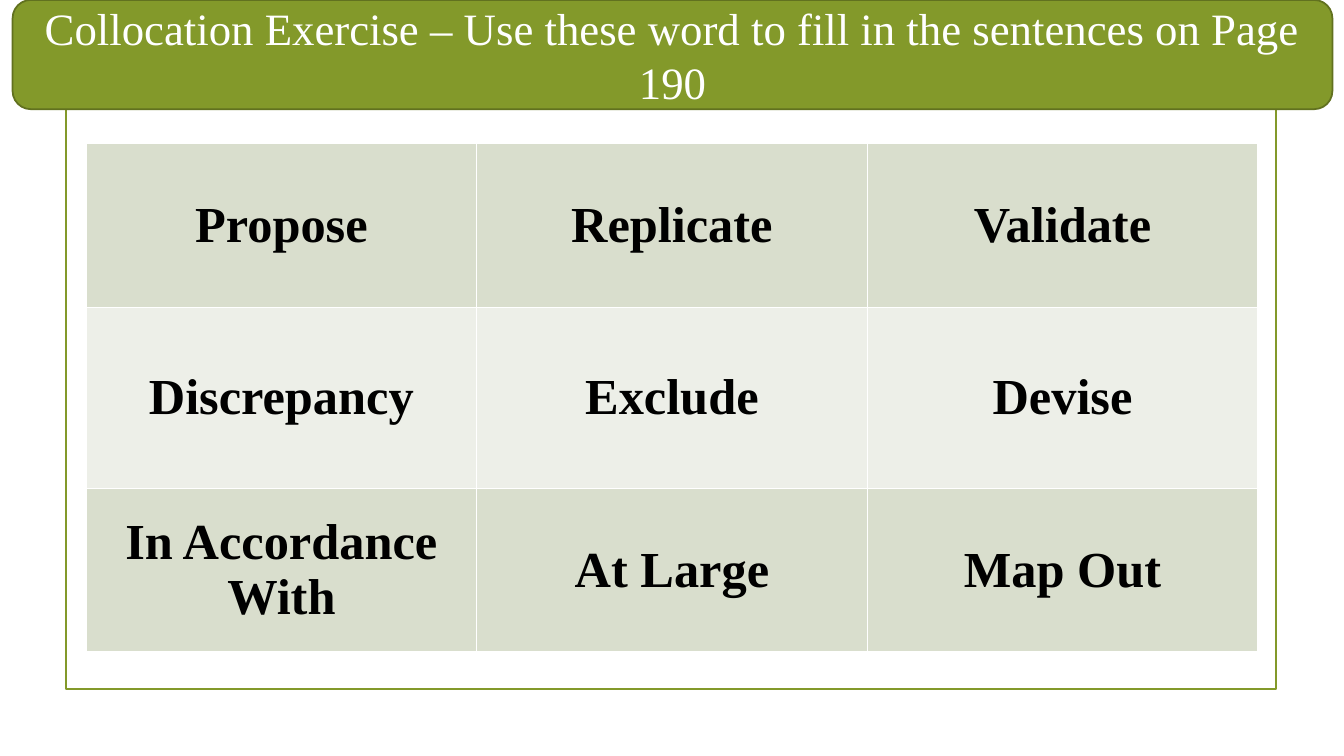
from dataclasses import dataclass

from pptx import Presentation
from pptx.dml.color import RGBColor
from pptx.enum.shapes import MSO_SHAPE as Shape
from pptx.enum.text import MSO_ANCHOR as Anchor, MSO_AUTO_SIZE as AutoSize, PP_ALIGN as Align
from pptx.oxml import parse_xml
from pptx.oxml.ns import nsdecls
from pptx.util import Pt

PX = 9525  # EMU per px, 96 px to the inch


@dataclass(frozen=True)
class Theme:
    font: str = "Times New Roman"
    green: str = "83992A"
    dark_green: str = "61711F"
    band_dark: str = "D9DECD"
    band_light: str = "EDEFE8"
    white: str = "FFFFFF"
    black: str = "000000"
    title_size: int = 32
    word_size: int = 36
    outline: float = 1.25
    cell_border: int = 1


THEME = Theme()
TITLE = "Collocation Exercise – Use these word to fill in the sentences on Page 190"
WORDS = [
    ["Propose", "Replicate", "Validate"],
    ["Discrepancy", "Exclude", "Devise"],
    ["In Accordance With", "At Large", "Map Out"],
]
BANNER_BOX = (12, 0, 1257, 104)
FRAME_BOX = (63, 64, 1152, 592)
TABLE_LEFT, TABLE_TOP = 82, 137
COL_WIDTH = 372
ROW_HEIGHTS = [156, 172, 156]


def emu(box):
    return [v * PX for v in box]


def rgb(color):
    return RGBColor.from_string(color)


def write(tf, text, size, color, bold=False):
    """Put one centred run in a text frame."""
    p = tf.paragraphs[0]
    p.alignment = Align.CENTER
    r = p.add_run()
    r.text = text
    r.font.name = THEME.font
    r.font.size = Pt(size)
    r.font.bold = bold
    r.font.color.rgb = rgb(color)


def add_box(s, kind, box, line, fill=None):
    sp = s.shapes.add_shape(kind, *emu(box))
    sp.shadow.inherit = False
    if fill:
        sp.fill.solid()
        sp.fill.fore_color.rgb = rgb(fill)
    else:
        sp.fill.background()
    sp.line.color.rgb = rgb(line)
    sp.line.width = Pt(THEME.outline)


def set_title(s, text, box):
    title = s.shapes.title
    title.left, title.top, title.width, title.height = emu(box)
    tf = title.text_frame
    tf.word_wrap = True
    tf.auto_size = AutoSize.NONE
    tf.vertical_anchor = Anchor.MIDDLE
    write(tf, text, THEME.title_size, THEME.white)
    # Keep the title in front of the banner
    s.shapes._spTree.append(title._element)


def set_borders(cell):
    tc_pr = cell._tc.get_or_add_tcPr()
    for i, side in enumerate(("lnL", "lnR", "lnT", "lnB")):
        tc_pr.insert(i, parse_xml(
            f'<a:{side} {nsdecls("a")} w="{Pt(THEME.cell_border)}"><a:solidFill>'
            f'<a:srgbClr val="{THEME.white}"/></a:solidFill></a:{side}>'))


def add_word_table(s, words):
    cols = len(words[0])
    box = (TABLE_LEFT, TABLE_TOP, COL_WIDTH * cols, sum(ROW_HEIGHTS))
    table = s.shapes.add_table(len(words), cols, *emu(box)).table
    table.first_row = table.horz_banding = False
    for i, row in enumerate(words):
        table.rows[i].height = ROW_HEIGHTS[i] * PX
        for j, word in enumerate(row):
            cell = table.cell(i, j)
            cell.vertical_anchor = Anchor.MIDDLE
            cell.fill.solid()
            cell.fill.fore_color.rgb = rgb(THEME.band_light if i % 2 else THEME.band_dark)
            set_borders(cell)
            write(cell.text_frame, word, THEME.word_size, THEME.black, bold=True)


def main():
    prs = Presentation()
    prs.slide_width, prs.slide_height = emu((1280, 720))
    s = prs.slides.add_slide(prs.slide_layouts[5])  # Title Only

    # Frame and word grid
    add_box(s, Shape.RECTANGLE, FRAME_BOX, THEME.green)
    add_word_table(s, WORDS)

    # Title banner
    add_box(s, Shape.ROUNDED_RECTANGLE, BANNER_BOX, THEME.dark_green, THEME.green)
    set_title(s, TITLE, BANNER_BOX)

    prs.save("out.pptx")


if __name__ == "__main__":
    main()
